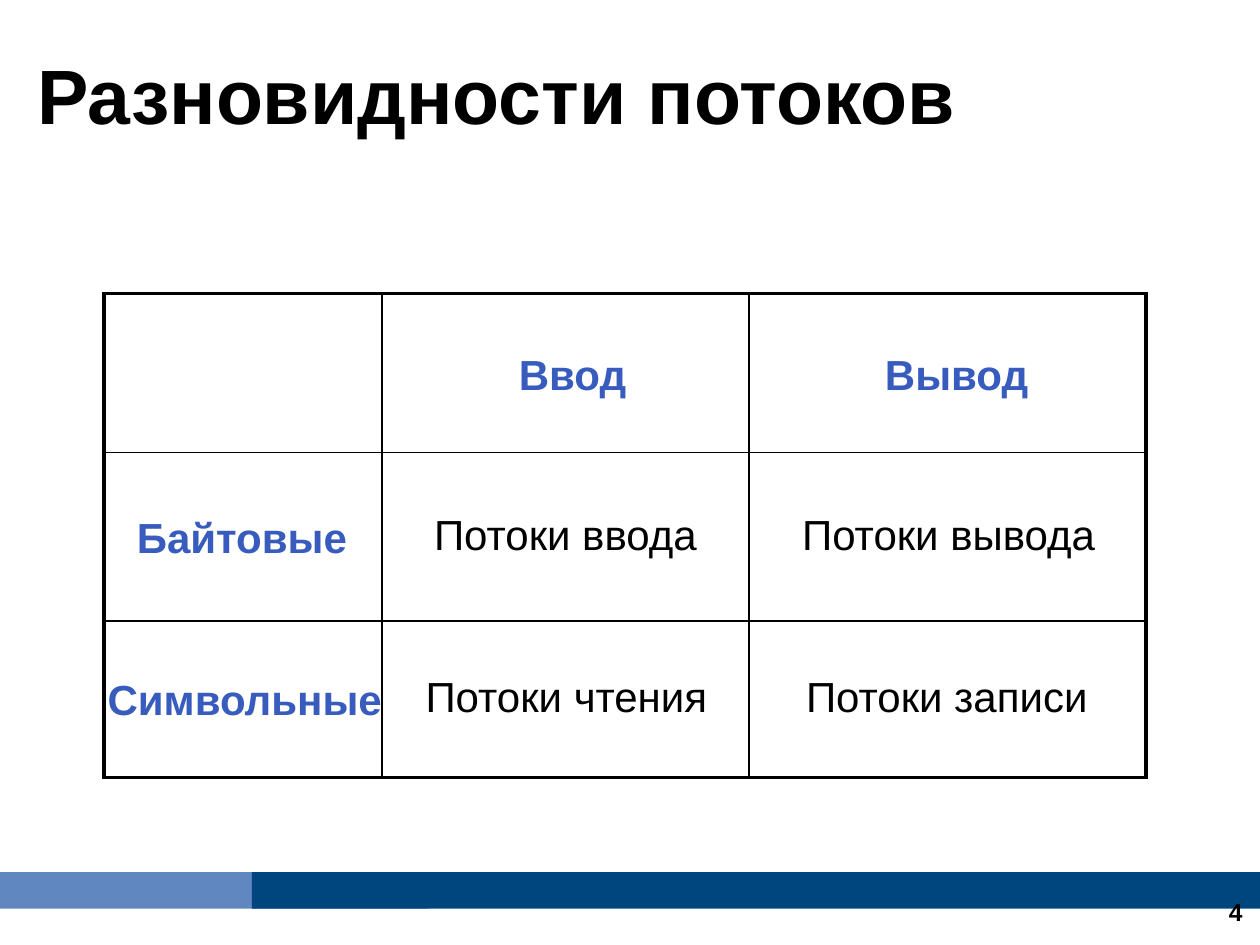
import pptx
import pptx.dml.color
import pptx.enum.shapes
import pptx.enum.text
import pptx.oxml
import pptx.oxml.ns
import pptx.util
from pptx.util import Cm

BLACK = pptx.dml.color.RGBColor(0x00, 0x00, 0x00)
HEADING_BLUE = pptx.dml.color.RGBColor(0x38, 0x5B, 0xBE)
LIGHT_BLUE = pptx.dml.color.RGBColor(0x60, 0x87, 0xBF)
DARK_BLUE = pptx.dml.color.RGBColor(0x00, 0x46, 0x7E)
WHITE = pptx.dml.color.RGBColor(0xFF, 0xFF, 0xFF)
ALIGN = pptx.enum.text.PP_ALIGN
ANCHOR = pptx.enum.text.MSO_ANCHOR


class SlideBuilder:
    """Holds the style and the slide being built."""

    font_name = "Arial"
    outer_line = pptx.util.Pt(2.25)
    inner_line = pptx.util.Pt(1)

    def __init__(self, presentation):
        """Add a blank white slide."""
        self.slide = presentation.slides.add_slide(presentation.slide_layouts[6])
        self.slide.background.fill.solid()
        self.slide.background.fill.fore_color.rgb = WHITE

    def bar(self, left, top, width, height, color):
        """Draw a plain filled rectangle."""
        shape = self.slide.shapes.add_shape(
            pptx.enum.shapes.MSO_SHAPE.RECTANGLE, Cm(left), Cm(top), Cm(width), Cm(height))
        shape.shadow.inherit = False
        shape.fill.solid()
        shape.fill.fore_color.rgb = color
        shape.line.fill.background()

    def text(self, text, left, top, width, height=1.27, size=24, color=BLACK, bold=False,
             align=ALIGN.LEFT, anchor=ANCHOR.TOP):
        """Write one line of text in a box of fixed size."""
        box = self.slide.shapes.add_textbox(Cm(left), Cm(top), Cm(width), Cm(height))
        frame = box.text_frame
        frame.word_wrap = True
        frame.vertical_anchor = anchor
        paragraph = frame.paragraphs[0]
        paragraph.text = text
        paragraph.alignment = align
        paragraph.font.name = self.font_name
        paragraph.font.size = pptx.util.Pt(size)
        paragraph.font.bold = bold
        paragraph.font.color.rgb = color

    def border(self, cell, side, width):
        """Give one side of a cell a solid black line."""
        cell._tc.get_or_add_tcPr().append(pptx.oxml.parse_xml(
            f'<a:{side} {pptx.oxml.ns.nsdecls("a")} w="{width}"><a:solidFill>'
            f'<a:srgbClr val="{BLACK}"/></a:solidFill></a:{side}>'))

    def grid(self, left, top, column_widths, row_heights):
        """Draw an unfilled table with a thick frame and thin inner lines."""
        last_row, last_column = len(row_heights) - 1, len(column_widths) - 1
        table = self.slide.shapes.add_table(
            last_row + 1, last_column + 1, Cm(left), Cm(top),
            Cm(sum(column_widths)), Cm(sum(row_heights))).table
        table.first_row = table.horz_banding = False
        for column, width in zip(table.columns, column_widths):
            column.width = Cm(width)
        for row, height in zip(table.rows, row_heights):
            row.height = Cm(height)
        for row in range(last_row + 1):
            for column in range(last_column + 1):
                cell = table.cell(row, column)
                on_frame = {"lnL": column == 0, "lnR": column == last_column,
                            "lnT": row == 0, "lnB": row == last_row}
                for side, outer in on_frame.items():
                    self.border(cell, side, self.outer_line if outer else self.inner_line)
                cell.fill.background()


def main():
    """Build and save the slide."""
    presentation = pptx.Presentation()
    presentation.slide_width, presentation.slide_height = Cm(25.4), Cm(19.05)
    builder = SlideBuilder(presentation)

    builder.bar(-0.05, 17.58, 8.69, 0.74, LIGHT_BLUE)
    builder.bar(5.08, 17.58, 20.32, 0.74, DARK_BLUE)
    builder.text("4", 19.38, 17.53, 5.92, size=14, bold=True,
                 align=ALIGN.RIGHT, anchor=ANCHOR.BOTTOM)
    builder.text("Разновидности потоков", 0.5, 0, 24.38, 3.78, size=44, bold=True,
                 anchor=ANCHOR.MIDDLE)

    builder.grid(2.1, 5.92, [5.6, 7.4, 8], [3.2, 3.4, 3.15])
    entries = [
        ("Потоки ввода", 8.5, 10.12, 6),
        ("Потоки вывода", 15.92, 10.12, 6.6),
        ("Потоки чтения", 8.33, 13.39, 6.4),
        ("Потоки записи", 16, 13.39, 6.4),
    ]
    headings = [
        ("Ввод", 10.21, 6.91, 2.8),
        ("Вывод", 17.59, 6.91, 3.6),
        ("Байтовые", 2.51, 10.19, 4.9),
        ("Символьные", 1.92, 13.46, 6.2),
    ]
    for entry in entries:
        builder.text(*entry)
    for heading in headings:
        builder.text(*heading, color=HEADING_BLUE, bold=True)

    presentation.save("out.pptx")


main()
